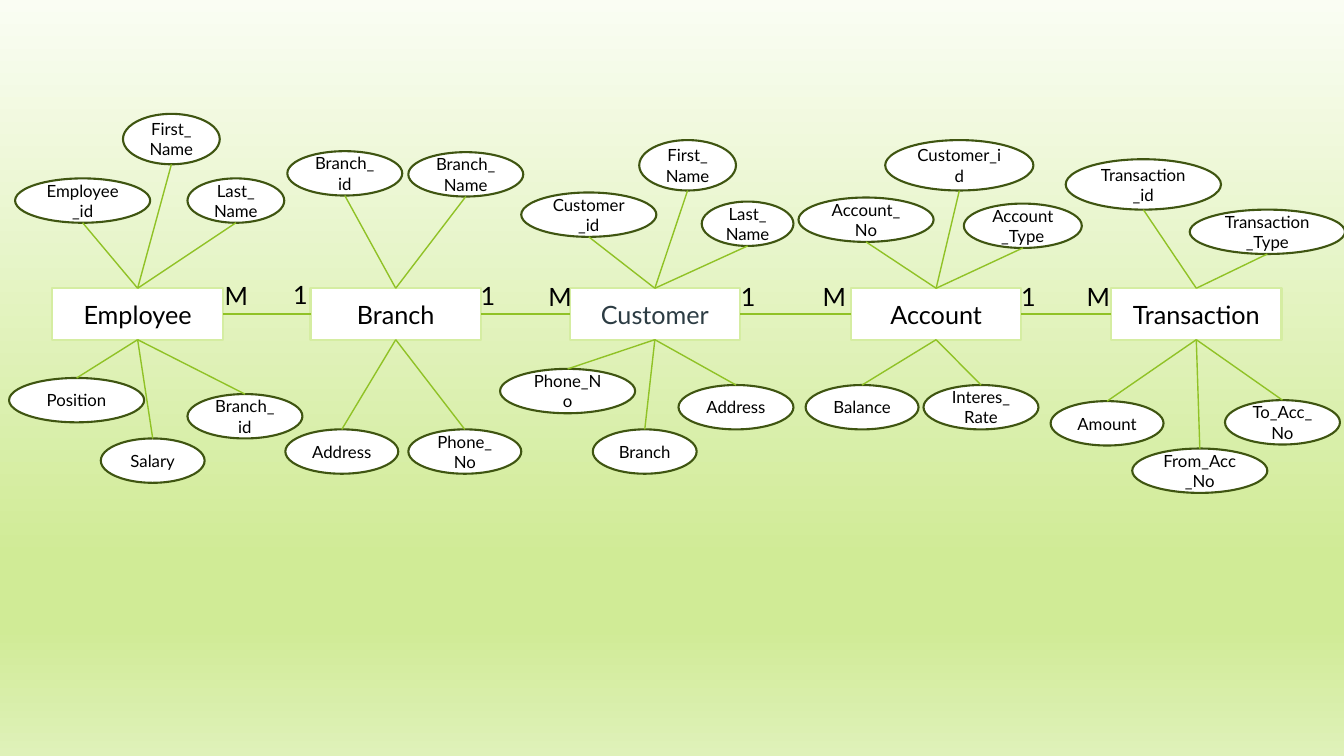
from copy import deepcopy
from pptx import Presentation, util as u
from pptx.dml.color import RGBColor
from pptx.enum import shapes, text
from pptx.oxml.ns import qn

PX = 9144  # 100 px to the inch
BLACK = RGBColor(0x00, 0x00, 0x00)
WHITE = RGBColor(0xFF, 0xFF, 0xFF)
SLATE = RGBColor(0x2C, 0x3C, 0x43)
GREEN = RGBColor(0x90, 0xC2, 0x26)
PALE_GREEN = RGBColor(0xD5, 0xED, 0xA2)
DARK_GREEN = RGBColor(0x3F, 0x55, 0x11)
BACKGROUND = [(0, RGBColor(0xFA, 0xFD, 0xF3)), (0.74, RGBColor(0xD0, 0xEB, 0x96)),
              (0.83, RGBColor(0xD0, 0xEB, 0x96)), (1, RGBColor(0xDF, 0xF1, 0xB9))]

ENTITY_TOP, ENTITY_W, ENTITY_H = 286, 169, 51
# name, left, text colour, attributes as (name, left, top, width, height)
ENTITIES = [
    ("Employee", 52, BLACK, [
        ("Employee_id", 15, 177, 134, 44), ("First_Name", 122, 113, 96, 50),
        ("Last_Name", 186, 177, 96, 44), ("Position", 9, 375, 134, 44),
        ("Salary", 100, 435, 103, 44), ("Branch_id", 186, 391, 114, 44)]),
    ("Branch", 308, BLACK, [
        ("Branch_id", 285, 150, 114, 44), ("Branch_Name", 405, 151, 114, 44),
        ("Address", 283, 426, 112, 44), ("Phone_No", 405, 426, 112, 44)]),
    ("Customer", 565, SLATE, [
        ("Customer_id", 517, 191, 134, 44), ("First_Name", 634, 139, 96, 50),
        ("Last_Name", 696, 200, 91, 44), ("Phone_No", 496, 366, 134, 44),
        ("Branch", 588, 426, 103, 44), ("Address", 673, 382, 114, 44)]),
    ("Account", 844, BLACK, [
        ("Account_No", 792, 196, 134, 44), ("Customer_id", 878, 139, 147, 50),
        ("Account_Type", 956, 202, 117, 44), ("Balance", 799, 382, 112, 44),
        ("Interes_Rate", 916, 382, 114, 44)]),
    ("Transaction", 1102, BLACK, [
        ("Transaction_id", 1057, 158, 154, 50), ("Transaction_Type", 1180, 208, 154, 44),
        ("Amount", 1042, 398, 112, 44), ("From_Acc_No", 1123, 445, 134, 44),
        ("To_Acc_No", 1215, 397, 114, 44)]),
]
CARDINALITIES = [("M", 213, 273), ("1", 281, 272), ("1", 467, 273), ("M", 534, 274),
                 ("1", 725, 274), ("M", 806, 274), ("1", 1003, 274), ("M", 1068, 274)]

prs = Presentation()
prs.slide_width, prs.slide_height = u.Inches(13.33), u.Inches(7.5)
s = prs.slides.add_slide(prs.slide_layouts[6])


def add_node(kind, name, box, outline, size, color):
    sp = s.shapes.add_shape(kind, *(v * PX for v in box))
    sp.shadow.inherit = False
    sp.fill.solid()
    sp.fill.fore_color.rgb = WHITE
    sp.line.color.rgb = outline
    sp.line.width = u.Pt(1.5)
    tf = sp.text_frame
    tf.text = name
    tf.vertical_anchor = text.MSO_ANCHOR.MIDDLE
    p = tf.paragraphs[0]
    p.alignment = text.PP_ALIGN.CENTER
    p.font.name, p.font.size, p.font.color.rgb = "Lato", u.Pt(size), color
    return sp


def add_line(x1, y1, x2, y2):
    line = s.shapes.add_connector(shapes.MSO_CONNECTOR.STRAIGHT, x1, y1, x2, y2)
    line.line.color.rgb = GREEN
    line.line.width = u.Pt(1)
    sp_pr = line._element.spPr
    sp_pr.append(sp_pr.makeelement(qn("a:effectLst"), {}))
    return line


# Background gradient, top to bottom
fill = s.background.fill
fill.gradient()
fill.gradient_angle = 270
first_stop = s.element.xpath(".//a:gs")[0]
for _ in range(2):
    first_stop.addnext(deepcopy(first_stop))
for stop, (position, color) in zip(fill.gradient_stops, BACKGROUND):
    stop.position = position
    stop.color.rgb = color

# Entities with their attributes
entities = []
for name, left, color, attributes in ENTITIES:
    entity = add_node(shapes.MSO_SHAPE.RECTANGLE, name,
                      (left, ENTITY_TOP, ENTITY_W, ENTITY_H), PALE_GREEN, 18, color)
    entities.append(entity)
    ovals = [add_node(shapes.MSO_SHAPE.OVAL, label, box, DARK_GREEN, 12, BLACK)
             for label, *box in attributes]
    center = entity.left + entity.width // 2
    for oval in ovals:
        x = oval.left + oval.width // 2
        if oval.top < entity.top:
            line = add_line(center, entity.top, x, oval.top + oval.height)
            line.begin_connect(entity, 0)
        else:
            line = add_line(center, entity.top + entity.height, x, oval.top)
            line.begin_connect(entity, 2)
            line.end_connect(oval, 0)

# Relations between neighbouring entities
for a, b in zip(entities, entities[1:]):
    middle = a.top + a.height // 2
    line = add_line(a.left + a.width, middle, b.left, middle)
    line.begin_connect(a, 3)
    line.end_connect(b, 1)

# Cardinalities
for mark, left, top in CARDINALITIES:
    tf = s.shapes.add_textbox(left * PX, top * PX, 23 * PX, 40 * PX).text_frame
    tf.word_wrap = True
    tf.auto_size = text.MSO_AUTO_SIZE.SHAPE_TO_FIT_TEXT
    tf.text = mark
    p = tf.paragraphs[0]
    p.font.name, p.font.size, p.font.color.rgb = "Lato", u.Pt(18), BLACK

prs.save("out.pptx")
